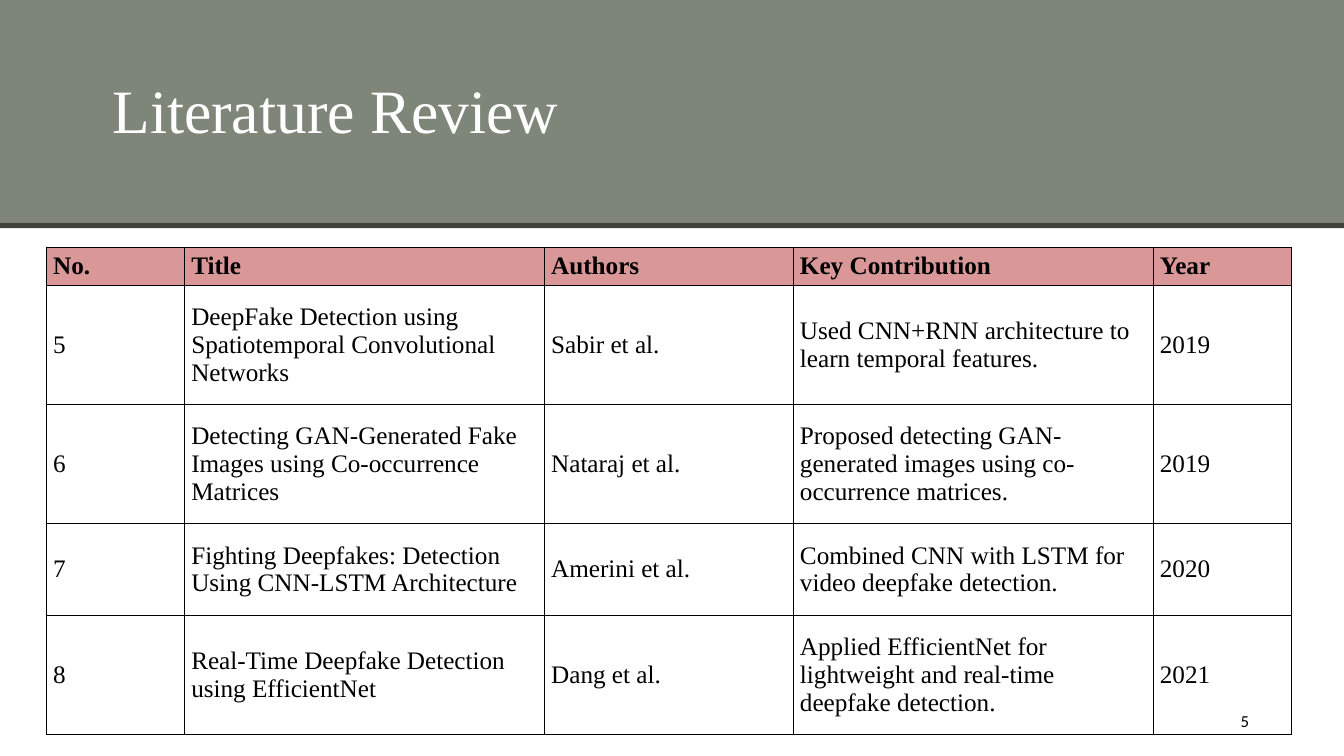
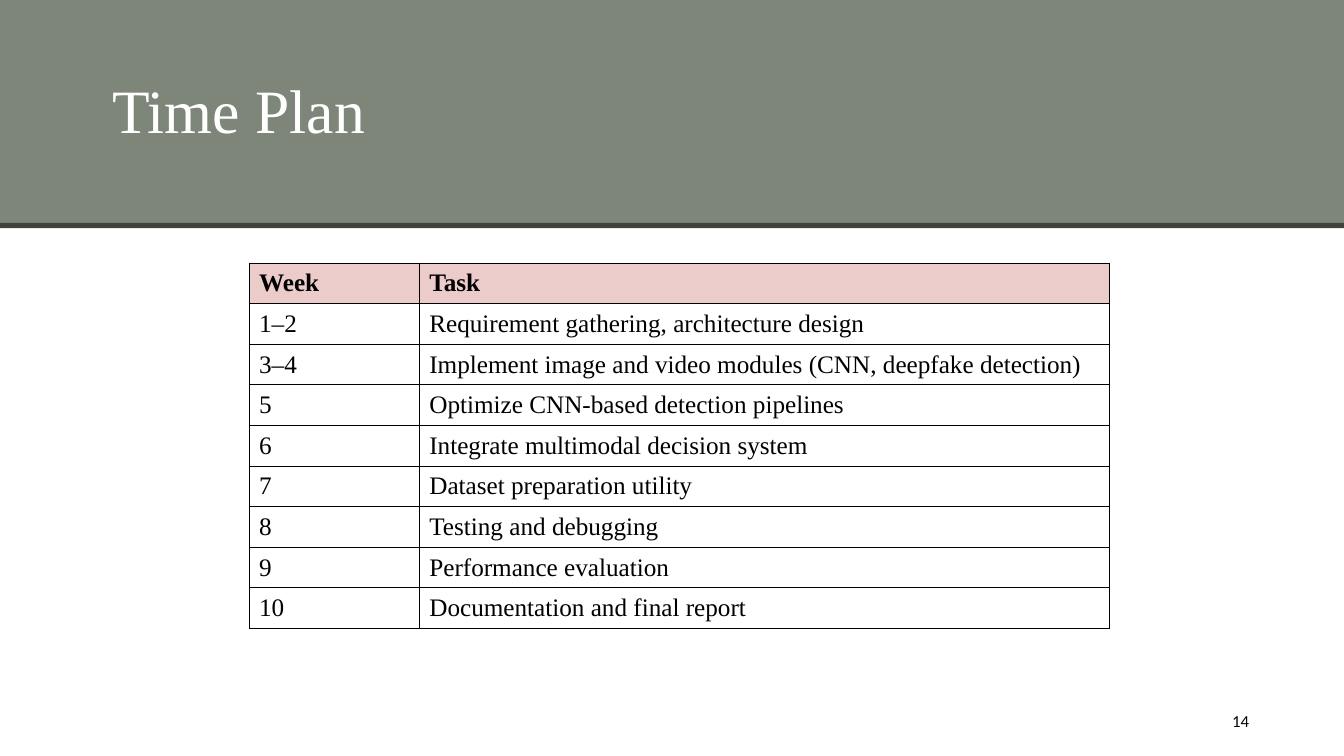
from dataclasses import dataclass

from lxml.etree import SubElement
from pptx import Presentation
from pptx.dml.color import RGBColor
from pptx.enum.shapes import MSO_SHAPE
from pptx.enum.text import MSO_ANCHOR, PP_ALIGN
from pptx.oxml.ns import qn
from pptx.util import Cm, Pt


@dataclass(frozen=True)
class Theme:
    """Colours, fonts and type sizes of the deck."""

    band: str = "7E8679"
    rule: str = "3F433C"
    paper: str = "FFFFFF"
    ink: str = "000000"
    review_header: str = "D99797"
    plan_header: str = "ECCBCB"
    serif: str = "Times New Roman"
    sans: str = "Calibri"
    title_size: int = 44
    table_size: int = 18
    number_size: int = 12
    border_width: int = 1


THEME = Theme()
SLIDE_WIDTH, SLIDE_HEIGHT = 33.87, 19.05
BAND_BOX = (0, 0, SLIDE_WIDTH, 5.69)
RULE_BOX = (0, 5.62, SLIDE_WIDTH, 0.13)
TITLE_BOX = (2.58, 0.64, 26.47, 4.45)
NUMBER_BOX = (29.55, 17.66, 2.18, 1.01)

REVIEW = [
    ("No.", "Title", "Authors", "Key Contribution", "Year"),
    ("5", "DeepFake Detection using Spatiotemporal Convolutional Networks",
     "Sabir et al.", "Used CNN+RNN architecture to learn temporal features.", "2019"),
    ("6", "Detecting GAN-Generated Fake Images using Co-occurrence Matrices",
     "Nataraj et al.",
     "Proposed detecting GAN-generated images using co-occurrence matrices.", "2019"),
    ("7", "Fighting Deepfakes: Detection Using CNN-LSTM Architecture",
     "Amerini et al.", "Combined CNN with LSTM for video deepfake detection.", "2020"),
    ("8", "Real-Time Deepfake Detection using EfficientNet", "Dang et al.",
     "Applied EfficientNet for lightweight and real-time deepfake detection.", "2021"),
]
PLAN = [
    ("Week", "Task"),
    ("1–2", "Requirement gathering, architecture design"),
    ("3–4", "Implement image and video modules (CNN, deepfake detection)"),
    ("5", "Optimize CNN-based detection pipelines"),
    ("6", "Integrate multimodal decision system"),
    ("7", "Dataset preparation utility"),
    ("8", "Testing and debugging"),
    ("9", "Performance evaluation"),
    ("10", "Documentation and final report"),
]


def to_cm(box):
    """Turn a box in centimetres into lengths."""
    return [Cm(length) for length in box]


def write(frame, text, *, size, font=THEME.serif, color=THEME.ink, bold=False,
          align=PP_ALIGN.LEFT, spacing=None):
    """Put one formatted paragraph into a text frame."""
    frame.word_wrap = True
    frame.vertical_anchor = MSO_ANCHOR.MIDDLE
    paragraph = frame.paragraphs[0]
    paragraph.alignment = align
    paragraph.line_spacing = spacing
    run = paragraph.add_run()
    run.text = text
    run.font.size = Pt(size)
    run.font.name = font
    run.font.bold = bold
    run.font.color.rgb = RGBColor.from_string(color)


def add_header_bands(slide):
    """Draw the header band and its rule on the layout the slide uses."""
    layout_tree = slide.slide_layout.shapes.element
    for position, (box, color) in enumerate(
            [(BAND_BOX, THEME.band), (RULE_BOX, THEME.rule)], start=2):
        band = slide.shapes.add_shape(MSO_SHAPE.RECTANGLE, *to_cm(box))
        band.shadow.inherit = False
        band.fill.solid()
        band.fill.fore_color.rgb = RGBColor.from_string(color)
        band.line.fill.background()
        layout_tree.insert(position, band.element)


def add_titled_slide(deck, heading, number):
    """Add a slide with its heading and page number."""
    slide = deck.slides.add_slide(deck.slide_layouts[5])
    title = slide.shapes.title
    title.left, title.top, title.width, title.height = to_cm(TITLE_BOX)
    write(title.text_frame, heading, size=THEME.title_size, color=THEME.paper,
          spacing=0.9)
    page_number = slide.shapes.add_textbox(*to_cm(NUMBER_BOX))
    write(page_number.text_frame, str(number), size=THEME.number_size,
          font=THEME.sans, align=PP_ALIGN.RIGHT)
    return slide


def outline_cell(cell):
    """Give a cell thin borders on all four sides."""
    properties = cell._tc.get_or_add_tcPr()
    for side in ("a:lnL", "a:lnR", "a:lnT", "a:lnB"):
        border = SubElement(properties, qn(side), w=str(Pt(THEME.border_width)))
        fill = SubElement(border, qn("a:solidFill"))
        SubElement(fill, qn("a:srgbClr"), val=THEME.ink)


def add_grid(slide, origin, rows, widths, heights, header_color, insets):
    """Place a bordered table with a coloured header row at the origin."""
    box = (*origin, sum(widths), sum(heights))
    grid = slide.shapes.add_table(len(rows), len(widths), *to_cm(box)).table
    grid.horz_banding = False
    for column, width in zip(grid.columns, widths):
        column.width = Cm(width)
    side_inset, end_inset = to_cm(insets)
    for row_index, (row, height, entries) in enumerate(zip(grid.rows, heights, rows)):
        row.height = Cm(height)
        is_header = row_index == 0
        for cell, entry in zip(row.cells, entries):
            cell.margin_left = cell.margin_right = side_inset
            cell.margin_top = cell.margin_bottom = end_inset
            cell.vertical_anchor = MSO_ANCHOR.MIDDLE
            outline_cell(cell)
            if is_header:
                cell.fill.solid()
                cell.fill.fore_color.rgb = RGBColor.from_string(header_color)
            else:
                cell.fill.background()
            write_cell(cell, entry, is_header)


def write_cell(cell, entry, is_header):
    """Write a table entry, bold in the header row."""
    write(cell.text_frame, entry, size=THEME.table_size, bold=is_header)


def main():
    """Build and save the deck."""
    deck = Presentation()
    deck.slide_width, deck.slide_height = Cm(SLIDE_WIDTH), Cm(SLIDE_HEIGHT)

    review = add_titled_slide(deck, "Literature Review", 5)
    add_header_bands(review)
    add_grid(review, (1.17, 6.23), REVIEW, widths=(3.48, 9.07, 6.27, 9.07, 3.48),
             heights=(0.91, 3, 3, 2.31, 3), header_color=THEME.review_header,
             insets=(0.17, 0.1))

    plan = add_titled_slide(deck, "Time Plan", 14)
    add_grid(plan, (6.28, 6.63), PLAN, widths=(4.29, 17.4),
             heights=[0.96] * len(PLAN), header_color=THEME.plan_header,
             insets=(0.25, 0.13))

    deck.save("out.pptx")


if __name__ == "__main__":
    main()
